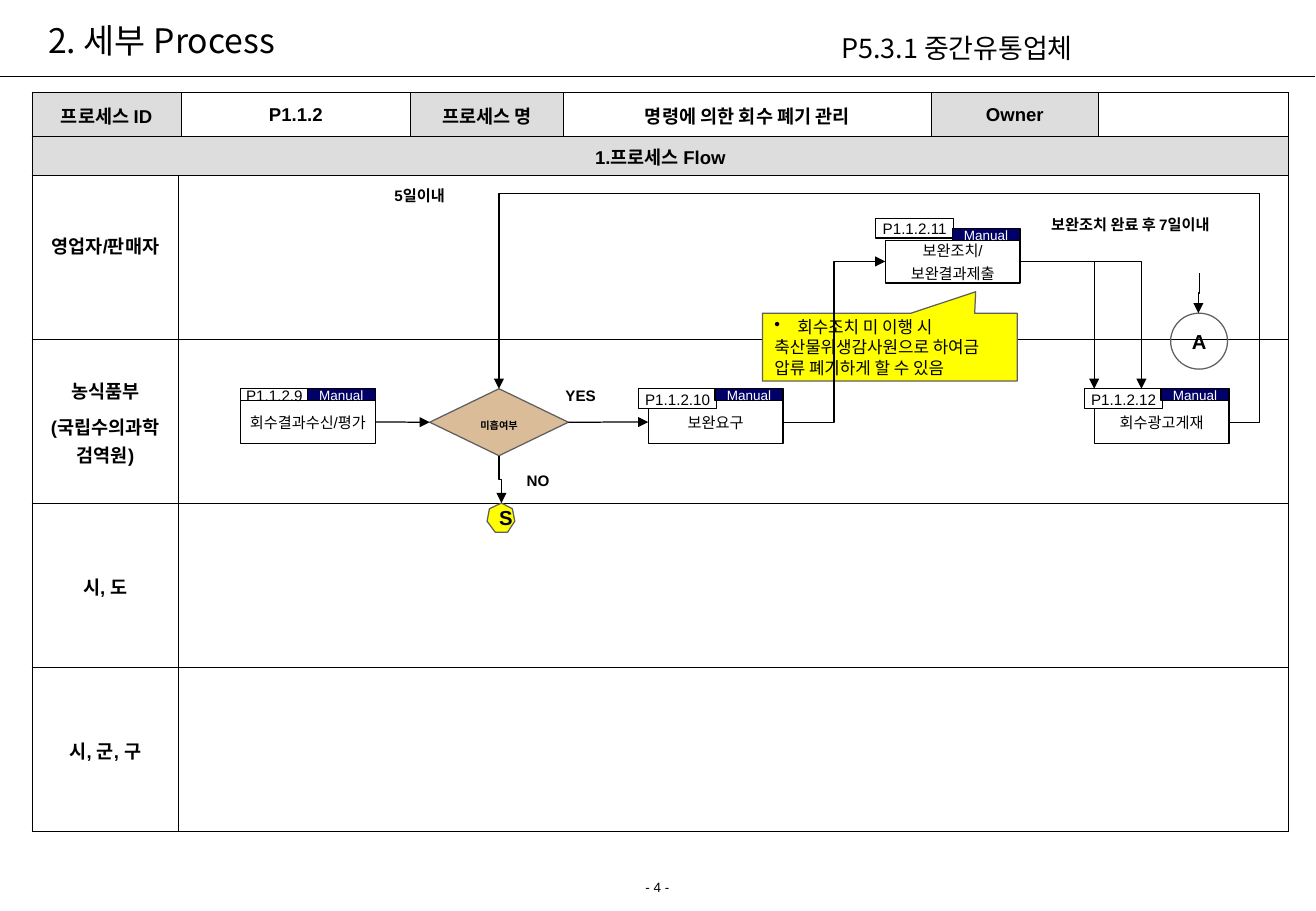
from lxml import etree
from pptx import Presentation
from pptx.dml.color import RGBColor
from pptx.enum.shapes import MSO_CONNECTOR, MSO_SHAPE
from pptx.enum.text import MSO_ANCHOR, PP_ALIGN
from pptx.oxml.ns import qn
from pptx.util import Cm, Pt

STRAIGHT, ELBOW = MSO_CONNECTOR.STRAIGHT, MSO_CONNECTOR.ELBOW
RECTANGLE, DIAMOND, OVAL = MSO_SHAPE.RECTANGLE, MSO_SHAPE.DIAMOND, MSO_SHAPE.OVAL
CALLOUT = MSO_SHAPE.RECTANGULAR_CALLOUT
LEFT, CENTER = PP_ALIGN.LEFT, PP_ALIGN.CENTER
TOP, MIDDLE = MSO_ANCHOR.TOP, MSO_ANCHOR.MIDDLE

COLORS = {"black": "000000", "white": "FFFFFF", "gray": "DDDDDD", "outline": "5F5F5F",
          "yellow": "FFFF00", "navy": "000066", "tan": "DBBC99"}
KOREAN_FONT = "Noto Sans CJK KR"
WIDE, TIGHT = (0.25, 0.13, 0.25, 0.13), (0.03, 0.03, 0.03, 0.03)

BASE = {"size": 9, "bold": False, "font": "Arial", "color": "black", "insets": WIDE,
        "anchor": MIDDLE, "wrap": True, "para": {"alignment": CENTER}}
LABEL = {**BASE, "bold": True, "anchor": TOP, "para": {"alignment": LEFT}}
HEADING = {**BASE, "font": KOREAN_FONT, "para": {"alignment": LEFT}}
CELL = {**BASE, "size": 11, "bold": True,
        "para": {"alignment": CENTER, "space_after": Pt(4.1)}}
LANE = {**CELL, "para": {**CELL["para"], "line_spacing": 1.05}}
STEP = {**BASE, "insets": TIGHT,
        "para": {"alignment": CENTER, "line_spacing": 1.04, "space_before": Pt(2.2)}}
MANUAL = {**STEP, "size": 8, "color": "white"}
MARK = {**BASE, "size": 12, "bold": True}

TEXTS = [
    (["2. 세부 Process"], (0.76, 0.13, 17.4, 1.4), {**HEADING, "size": 20}),
    (["P5.3.1 중간유통업체"], (17.35, 0.53, 8, 0.94), {**HEADING, "size": 16, "anchor": TOP}),
    (["- 4 -"], (0, 18.26, 27.51, 0.61),
     {**BASE, "size": 8, "anchor": TOP, "para": {"alignment": CENTER, "space_before": Pt(5)}}),
    (["5일이내"], (8, 3.76, 1.63, 0.64), {**LABEL, "wrap": False}),
    (["보완조치 완료 후 7일이내"], (21.74, 4.37, 4.01, 0.64), {**LABEL, "wrap": False}),
    (["NO"], (10.77, 9.73, 1.4, 0.64), LABEL),
    (["YES"], (11.58, 7.95, 1.4, 0.64), LABEL),
]
INFO_CELLS = ["프로세스 ID", "P1.1.2", "프로세스 명", "명령에 의한 회수 폐기 관리", "Owner", ""]
INFO_WIDTHS = [3.12, 4.8, 3.2, 7.7, 3.48, 3.99]
FLOW_WIDTHS = [3.07, 23.22]
FLOW_TITLE = "1.프로세스 Flow"
LANES = [
    (["영업자/판매자"], {**LANE, "insets": (0.25, 0.13, 0.25, 0.67)}),
    (["농식품부", "(국립수의과학검역원)"], LANE),
    (["시, 도"], LANE),
    (["시, 군, 구"], LANE),
]
STEP_WIDTH, STEP_HEIGHT, TAG_WIDTH, TAG_HEIGHT = 2.82, 0.89, 1.42, 0.25
STEPS = [
    ("P1.1.2.11", ["보완조치/", "보완결과제출"], (18.52, 5.03), (-0.2, -0.46, 1.63, 0.41)),
    ("P1.1.2.10", ["보완요구"], (13.56, 8.38), (-0.2, -0.25, 1.63, 0.41)),
    ("P1.1.2.9", ["회수결과수신/평가"], (5.03, 8.38), (0, -0.25, TAG_WIDTH, TAG_HEIGHT)),
    ("P1.1.2.12", ["회수광고게재"], (22.89, 8.38), (-0.2, -0.25, 1.63, 0.41)),
]
CALLOUT_LINES = ["회수조치 미 이행 시", "축산물위생감사원으로 하여금", "압류 폐기하게 할 수 있음"]
STOP_POINTS = [(10.19, 10.9), (10.24, 10.64), (10.49, 10.52), (10.72, 10.64),
               (10.77, 10.9), (10.62, 11.13), (10.36, 11.13)]
ELBOWS = [
    ((16.38, 8.83), (18.52, 5.47), "bentConnector3", [50000]),
    ((21.34, 5.47), (22.89, 8.13), "bentConnector2", []),
    ((21.34, 5.47), (23.88, 8.13), "bentConnector2", []),
    ((25.71, 8.83), (10.44, 8.13), "bentConnector4", [-4200, 682600]),
]
DROPS = [((25.1, 5.71), (25.07, 6.55)), ((10.44, 9.53), (10.49, 10.52))]


def rgb(name):
    return RGBColor.from_string(COLORS[name])


def write(frame, lines, style):
    for number, line in enumerate(lines):
        para = frame.add_paragraph() if number else frame.paragraphs[0]
        for name, value in style["para"].items():
            setattr(para, name, value)
        span = para.add_run()
        span.text = line
        font = {"size": Pt(style["size"]), "bold": style["bold"], "name": style["font"]}
        for name, value in font.items():
            setattr(span.font, name, value)
        span.font.color.rgb = rgb(style["color"])
        east_asian = etree.SubElement(span._r.get_or_add_rPr(), qn("a:ea"))
        east_asian.set("typeface", KOREAN_FONT)


def write_box(box, lines, style):
    frame = box.text_frame
    left, top, right, bottom = map(Cm, style["insets"])
    layout = {"margin_left": left, "margin_top": top, "margin_right": right,
              "margin_bottom": bottom, "vertical_anchor": style["anchor"],
              "word_wrap": style["wrap"]}
    for name, value in layout.items():
        setattr(frame, name, value)
    write(frame, lines, style)


def paint(box, fill, line):
    box.shadow.inherit = False
    if fill:
        box.fill.solid()
        box.fill.fore_color.rgb = rgb(fill)
    else:
        box.fill.background()
    box.line.color.rgb = rgb(line)
    box.line.width = Pt(0.75)


def add_box(page, kind, place, lines, style, fill, line="black"):
    box = page.shapes.add_shape(kind, *map(Cm, place))
    paint(box, fill, line)
    write_box(box, lines, style)
    return box


def add_line(page, kind, begin, end, arrow=True):
    line = page.shapes.add_connector(kind, *map(Cm, begin + end))
    line.line.color.rgb = rgb("black")
    line.line.width = Pt(0.75)
    if arrow:
        etree.SubElement(line.line._get_or_add_ln(), qn("a:tailEnd")).set("type", "triangle")
    etree.SubElement(line._element.spPr, qn("a:effectLst"))
    return line


def bend(line, preset, adjustments):
    geometry = line._element.spPr.find(qn("a:prstGeom"))
    geometry.set("prst", preset)
    guides = geometry.find(qn("a:avLst"))
    for number, value in enumerate(adjustments, 1):
        guide = etree.SubElement(guides, qn("a:gd"))
        guide.set("name", f"adj{number}")
        guide.set("fmla", f"val {value}")


def add_drop(page, begin, end):
    middle_x, middle_y = (begin[0] + end[0]) / 2, (begin[1] + end[1]) / 2
    half_x, half_y = (end[0] - begin[0]) / 2, (end[1] - begin[1]) / 2
    line = add_line(page, ELBOW, (middle_x - half_y, middle_y + half_x),
                    (middle_x + half_y, middle_y - half_x))
    line._element.spPr.find(qn("a:xfrm")).set("rot", "5400000")


def add_grid(page, top, widths, heights):
    place = map(Cm, (0.67, top, sum(widths), sum(heights)))
    table = page.shapes.add_table(len(heights), len(widths), *place).table
    for column, width in zip(table.columns, widths):
        column.width = Cm(width)
    for row, height in zip(table.rows, heights):
        row.height = Cm(height)
    for cell in table.iter_cells():
        properties = cell._tc.get_or_add_tcPr()
        for side in ("lnL", "lnR", "lnT", "lnB"):
            border = etree.SubElement(properties, qn(f"a:{side}"))
            border.set("w", str(Pt(0.45)))
            solid = etree.SubElement(border, qn("a:solidFill"))
            etree.SubElement(solid, qn("a:srgbClr")).set("val", COLORS["black"])
        cell.fill.background()
    return table


def fill_cell(cell, lines, style, fill):
    left, top, right, bottom = map(Cm, style["insets"])
    layout = {"margin_left": left, "margin_top": top, "margin_right": right,
              "margin_bottom": bottom, "vertical_anchor": MIDDLE}
    for name, value in layout.items():
        setattr(cell, name, value)
    if fill:
        cell.fill.solid()
        cell.fill.fore_color.rgb = rgb(fill)
    write(cell.text_frame, lines, style)


def add_step(page, code, lines, corner, tag):
    left, top = corner
    body = add_box(page, RECTANGLE, (left, top, STEP_WIDTH, STEP_HEIGHT), lines, STEP, "white")
    add_box(page, RECTANGLE, (left + tag[0], top + tag[1], *tag[2:]), [code], STEP, "white")
    manual_place = (left + STEP_WIDTH - TAG_WIDTH, top - TAG_HEIGHT, TAG_WIDTH, TAG_HEIGHT)
    add_box(page, RECTANGLE, manual_place, ["Manual"], MANUAL, "navy")
    return body


def add_callout(page):
    style = {**BASE, "size": 10, "para": {"alignment": LEFT}}
    box = add_box(page, CALLOUT, (15.95, 6.55, 5.33, 1.42), CALLOUT_LINES, style,
                  "yellow", "outline")
    box.adjustments[0], box.adjustments[1] = 0.337, -0.816
    for number, para in enumerate(box.text_frame.paragraphs):
        properties = para._p.get_or_add_pPr()
        properties.set("marL", str(Cm(0.48)))
        properties.set("indent", str(Cm(-0.48)))
        if number == 0:
            etree.SubElement(properties, qn("a:buChar")).set("char", "•")


def main():
    deck = Presentation()
    deck.slide_width, deck.slide_height = Cm(27.53), Cm(19.05)
    page = deck.slides.add_slide(deck.slide_layouts[6])
    add_line(page, STRAIGHT, (0, 1.6), (27.51, 1.6), arrow=False)

    info = add_grid(page, 1.93, INFO_WIDTHS, [0.8])
    for number, text in enumerate(INFO_CELLS):
        shaded = text and number % 2 == 0
        fill_cell(info.cell(0, number), [text], CELL, "gray" if shaded else None)

    flow = add_grid(page, 2.85, FLOW_WIDTHS, [0.76] + [3.43] * len(LANES))
    flow.cell(0, 0).merge(flow.cell(0, 1))
    fill_cell(flow.cell(0, 0), [FLOW_TITLE], CELL, "gray")
    for number, (lines, style) in enumerate(LANES, 1):
        fill_cell(flow.cell(number, 0), lines, style, "white")

    add_box(page, OVAL, (24.49, 6.55, 1.19, 1.17), ["A"], MARK, None, "outline")
    add_callout(page)
    bodies = {step[0]: add_step(page, *step) for step in STEPS}
    decision_style = {**MARK, "size": 6, "para": {"alignment": CENTER, "line_spacing": 1.5}}
    decision = add_box(page, DIAMOND, (8.99, 8.13, 2.9, 1.4), ["미흡여부"], decision_style,
                       "tan", "outline")

    points = [(Cm(x), Cm(y)) for x, y in STOP_POINTS]
    builder = page.shapes.build_freeform(*points[0])
    builder.add_line_segments(points[1:], close=True)
    stop = builder.convert_to_shape()
    paint(stop, "yellow", "outline")
    write_box(stop, ["S"], MARK)

    for source, target in ((bodies["P1.1.2.9"], decision), (decision, bodies["P1.1.2.10"])):
        line = add_line(page, STRAIGHT, (7.85, 8.83), (8.99, 8.83))
        line.begin_connect(source, 3)
        line.end_connect(target, 1)
    for begin, end, preset, adjustments in ELBOWS:
        bend(add_line(page, ELBOW, begin, end), preset, adjustments)
    for begin, end in DROPS:
        add_drop(page, begin, end)
    for lines, place, style in TEXTS:
        write_box(page.shapes.add_textbox(*map(Cm, place)), lines, style)
    deck.save("out.pptx")


if __name__ == "__main__":
    main()
